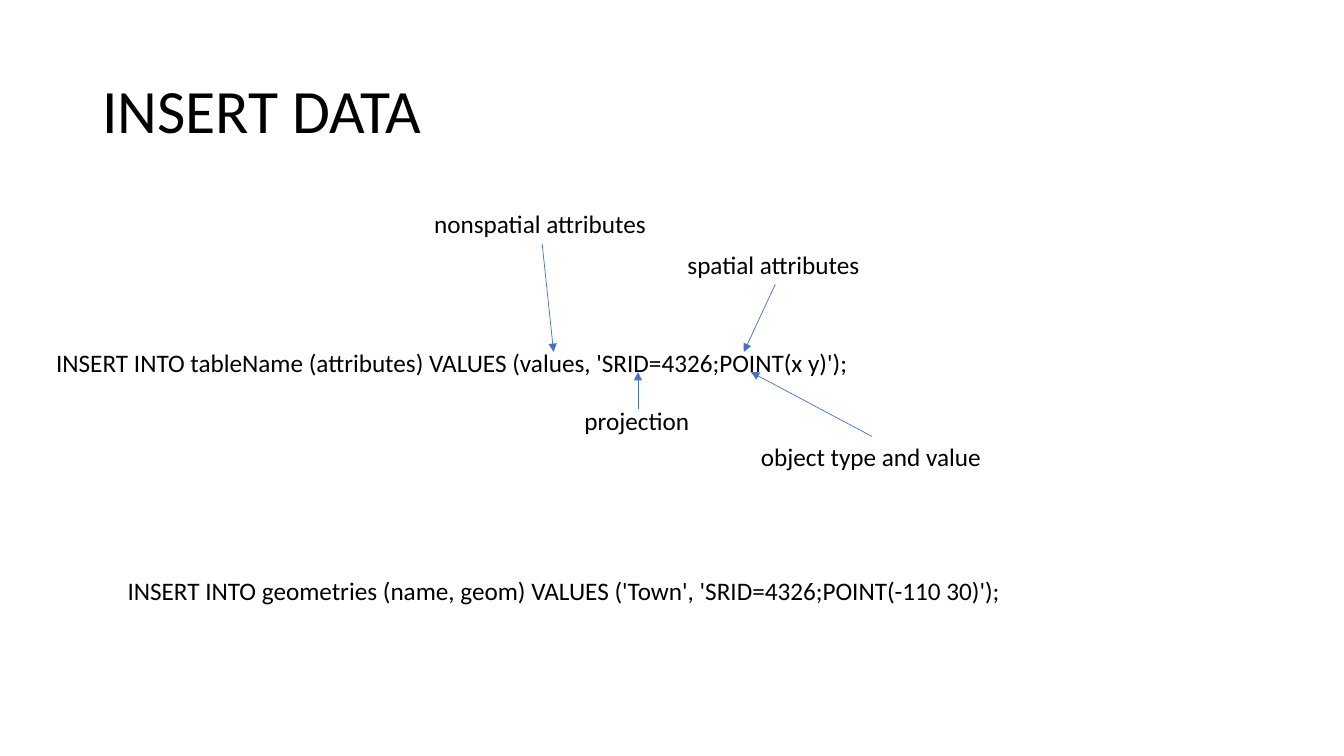
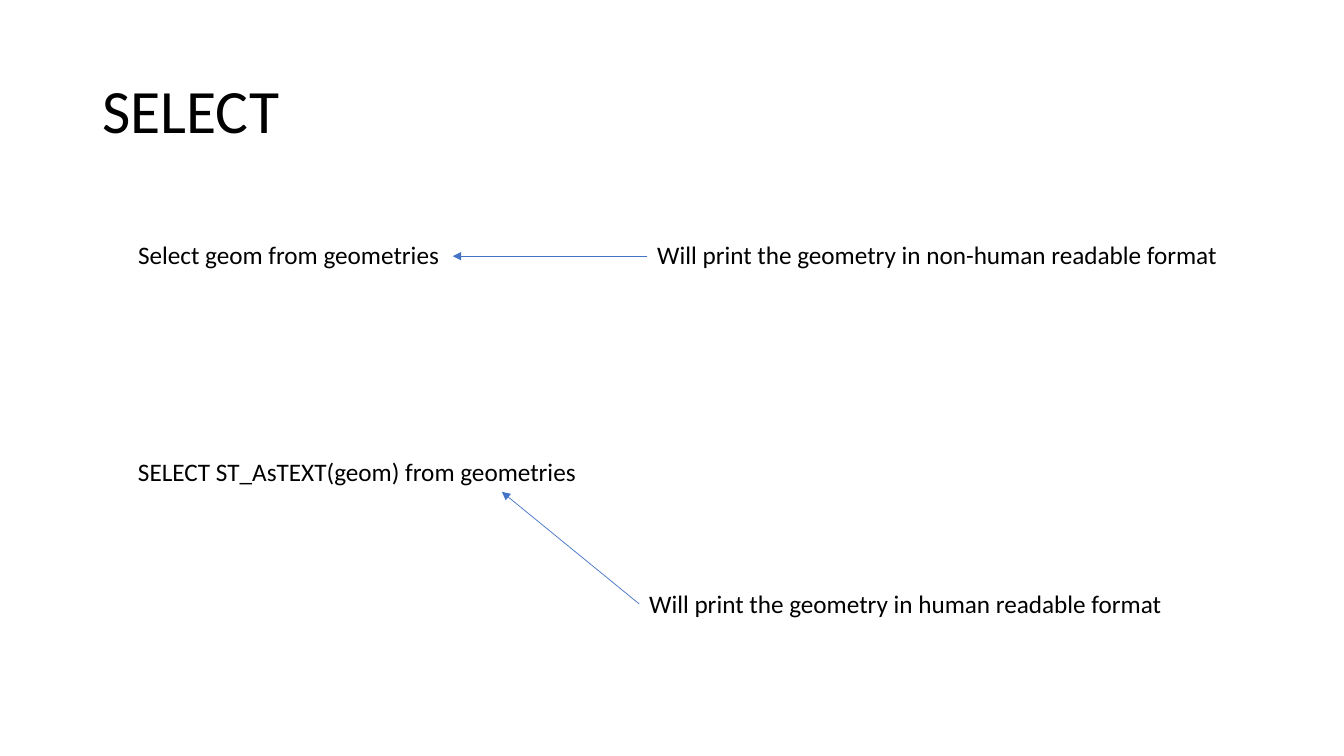
from pptx import Presentation
from pptx.dml.color import RGBColor as RGB
from pptx.enum.shapes import MSO_CONNECTOR as LINK
from pptx.enum.text import MSO_ANCHOR as ANCHOR, MSO_AUTO_SIZE as FIT
from pptx.oxml.ns import qn
from pptx.util import Inches, Pt
from lxml.etree import SubElement as Sub

# Shared style
COLORS = {"text": "000000", "arrow": "4472C4"}
FONT = "Calibri"
TITLE = (2.2, 0.96, 27.6, 3.48)
ROW = 0.96

deck = Presentation()
deck.slide_width, deck.slide_height = Inches(13.33), Inches(7.5)

# Grid of 32 columns by 18 rows
COL = deck.slide_width / 32
LINE = deck.slide_height / 18


def write(page, words, left, top, wide, high=ROW, size=18, wrap=False):
    box = page.shapes.add_textbox(
        int(left * COL), int(top * LINE), int(wide * COL), int(high * LINE))
    frame = box.text_frame
    frame.text = words
    frame.word_wrap = wrap
    font = frame.paragraphs[0].runs[0].font
    font.name, font.size = FONT, Pt(size)
    font.color.rgb = RGB.from_string(COLORS["text"])
    return frame


def point(page, x1, y1, x2, y2):
    link = page.shapes.add_connector(
        LINK.STRAIGHT, int(x1 * COL), int(y1 * LINE), int(x2 * COL), int(y2 * LINE))
    link.line.width = Pt(0.5)
    link.line.color.rgb = RGB.from_string(COLORS["arrow"])
    Sub(link.line._get_or_add_ln(), qn("a:tailEnd"), type="triangle")
    Sub(link._element.spPr, qn("a:effectLst"))


# Each slide: title, wide queries, snug labels, arrows
slides = [
    ("INSERT DATA",
     [("INSERT INTO geometries (name, geom) VALUES ('Town', 'SRID=4326;POINT(-110 30)');",
       2.8, 13.58, 24.77),
      ("INSERT INTO tableName (attributes) VALUES (values, 'SRID=4326;POINT(x y)');",
       1.1, 8.16, 22.9)],
     [("nonspatial attributes", 10.1, 4.85, 5.6),
      ("spatial attributes", 16.13, 5.81, 4.63),
      ("projection", 13.68, 9.53, 3),
      ("object type and value", 17.88, 10.39, 5.78)],
     [(12.91, 5.81, 13.18, 8.38),
      (18.46, 6.77, 17.71, 8.38),
      (15.19, 9.74, 15.19, 8.86),
      (20.76, 10.39, 17.88, 8.86)]),
    ("SELECT",
     [],
     [("Select geom from geometries", 3.05, 5.59, 7.73),
      ("Will print the geometry in non-human readable format", 15.41, 5.59, 13.97),
      ("SELECT ST_AsTEXT(geom) from geometries", 3.05, 10.75, 11.02),
      ("Will print the geometry in human readable format", 15.22, 13.9, 12.84)],
     [(15.41, 6.1, 10.78, 6.1),
      (15.22, 14.38, 11.95, 11.71)]),
]

for title, queries, labels, arrows in slides:
    page = deck.slides.add_slide(deck.slide_layouts[6])

    # Title
    head = write(page, title, *TITLE, size=44, wrap=True)
    head.vertical_anchor = ANCHOR.MIDDLE
    head.paragraphs[0].line_spacing = 0.9

    # Queries and labels
    for query in queries:
        write(page, *query, wrap=True).auto_size = FIT.SHAPE_TO_FIT_TEXT
    for label in labels:
        write(page, *label).auto_size = FIT.SHAPE_TO_FIT_TEXT

    # Arrows
    for arrow in arrows:
        point(page, *arrow)

deck.save("out.pptx")
